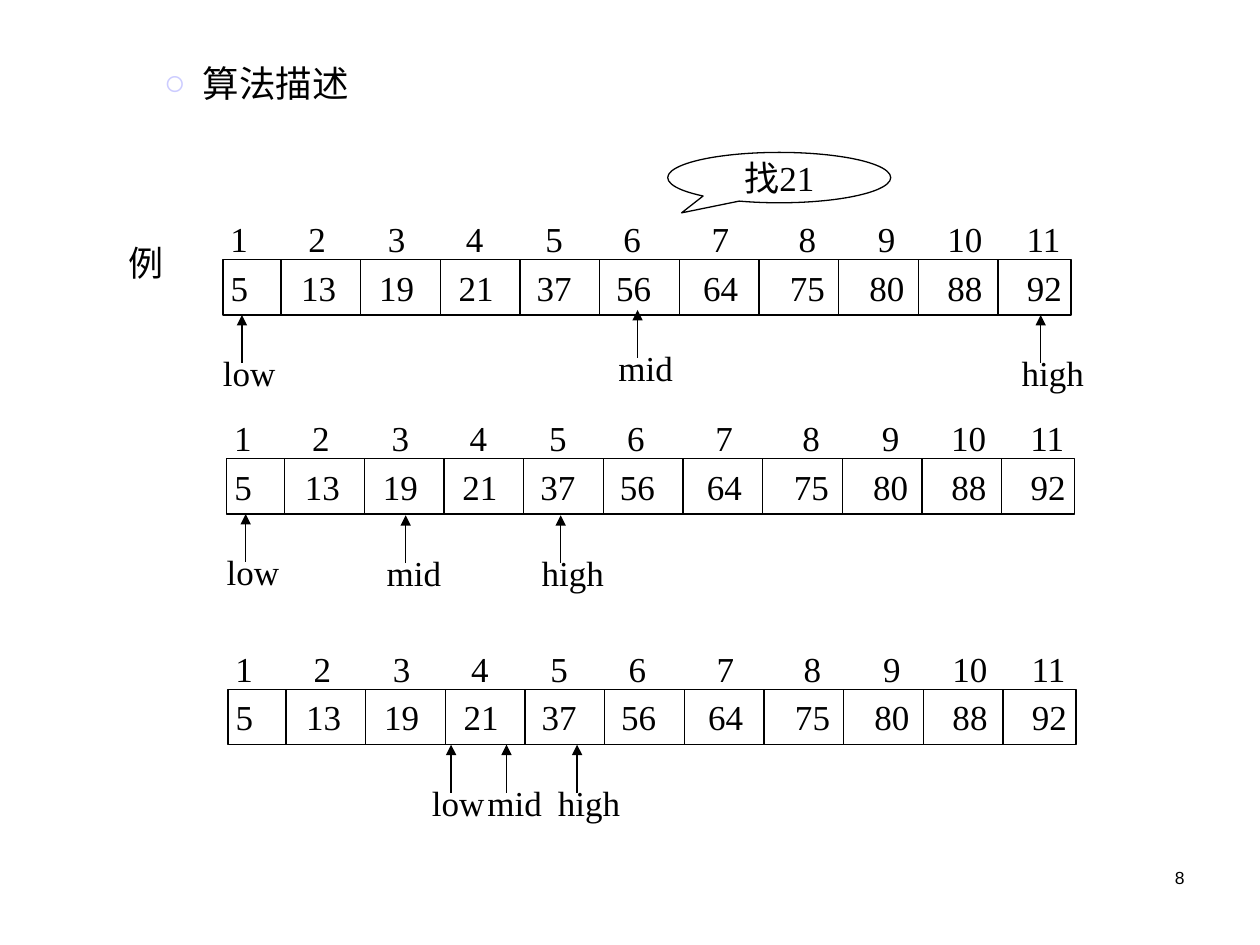
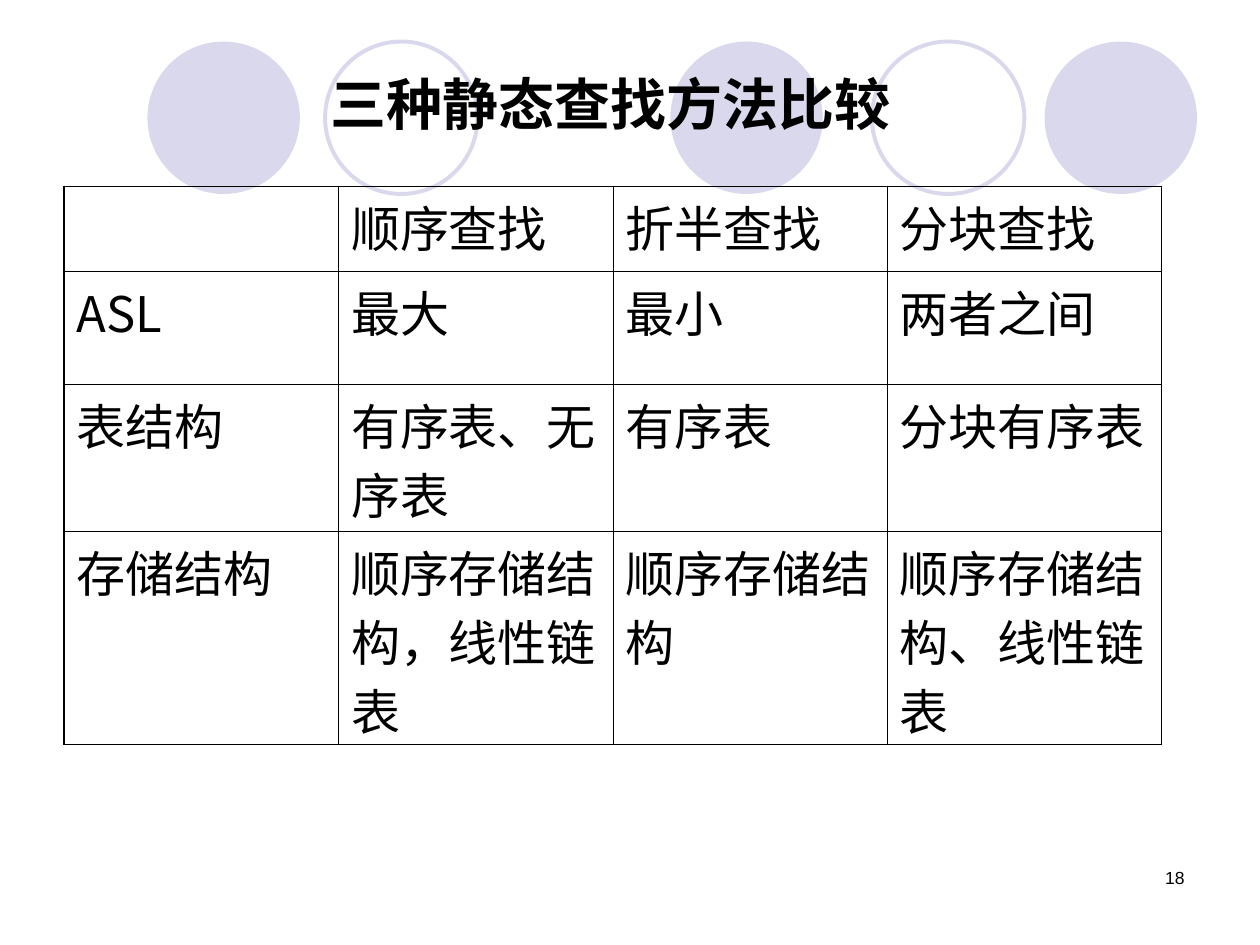
from lxml import etree
from pptx import Presentation
from pptx import util as u
from pptx.dml.color import RGBColor
from pptx.enum import shapes, text
from pptx.oxml import ns

BLACK, LILAC, BULLET = "000000", "D9D8EC", "CCCCFF"
SERIF, SANS, CJK = "Times New Roman", "Arial", "Noto Sans CJK SC"
THIN = 0.75
ROW_WIDTH, ROW_HEIGHT = 6.73, 0.44
FIRST_DIVIDER, LAST_DIVIDER, DIVIDERS = 0.46, 6.15, 10
INDEXES = list(range(1, 12))
INDEX_TABS = [0.62, 1.25, 1.87, 2.5, 3.12, 3.82, 4.51, 5.14, 5.69, 6.32]
KEYS = [5, 13, 19, 21, 37, 56, 64, 75, 80, 88, 92]
KEY_TABS = [0.56, 1.18, 1.81, 2.43, 3.06, 3.75, 4.44, 5.07, 5.69, 6.32]
LABEL_WIDTHS = {"low": 0.61, "mid": 0.63, "high": 0.69}

TRACES = [
    (1.77, 2.06, [("low", 0.15, 0), ("high", 6.49, 0), ("mid", 3.29, -0.04)]),
    (1.8, 3.64, [("low", 0.15, 0), ("high", 2.65, 0.01), ("mid", 1.42, 0.01)]),
    (1.81, 5.47, [("low", 1.77, 0), ("high", 2.77, 0), ("mid", 2.21, 0)]),
]
CIRCLES = [(5.32, True), (8.29, True), (1.17, True), (6.92, False), (2.58, False)]
COMPARISON = [
    ["", "顺序查找", "折半查找", "分块查找"],
    ["ASL", "最大", "最小", "两者之间"],
    ["表结构", "有序表、无序表", "有序表", "分块有序表"],
    ["存储结构", "顺序存储结构，线性链表", "顺序存储结构", "顺序存储结构、线性链表"],
]
COMPARISON_HEIGHTS = [0.67, 0.9, 1.17, 1.69]


def colour(value):
    return RGBColor.from_string(value)


def box(*lengths):
    return [u.Inches(length) for length in lengths]


def sub(parent, tag, **attributes):
    return etree.SubElement(parent, ns.qn(tag), attributes)


def place(shape, *lengths):
    shape.left, shape.top, shape.width, shape.height = box(*lengths)


def write(paragraph, words, size, font=SERIF, bold=False):
    run = paragraph.add_run()
    run.text = words
    run.font.size = u.Pt(size)
    run.font.name = font
    run.font.bold = bold
    run.font.color.rgb = colour(BLACK)
    sub(run._r.get_or_add_rPr(), "a:ea", typeface=CJK)


def set_tabs(paragraph, stops):
    tabs = sub(paragraph._p.get_or_add_pPr(), "a:tabLst")
    for stop in stops:
        sub(tabs, "a:tab", pos=str(u.Inches(stop)), algn="l")


def keep_on_one_line(frame):
    frame.word_wrap = False
    frame.margin_right = 0


def label(slide, place_box, words):
    frame = slide.shapes.add_textbox(*box(*place_box)).text_frame
    keep_on_one_line(frame)
    paragraph = frame.paragraphs[0]
    paragraph.alignment = text.PP_ALIGN.LEFT
    write(paragraph, words, 20)


def wrapped_text(slide, place_box):
    frame = slide.shapes.add_textbox(*box(*place_box)).text_frame
    frame.word_wrap = True
    return frame.paragraphs[0]


def outline(slide, kind, place_box, line=BLACK, width=THIN, fill=None):
    shape = slide.shapes.add_shape(kind, *box(*place_box))
    shape.shadow.inherit = False
    if fill:
        shape.fill.solid()
        shape.fill.fore_color.rgb = colour(fill)
    else:
        shape.fill.background()
    if line:
        shape.line.color.rgb = colour(line)
        shape.line.width = u.Pt(width)
    else:
        shape.line.fill.background()
    return shape


def rule(slide, x, start, end, arrow=False):
    line = slide.shapes.add_connector(shapes.MSO_CONNECTOR.STRAIGHT, *box(x, start, x, end))
    line.line.color.rgb = colour(BLACK)
    line.line.width = u.Pt(THIN)
    if arrow:
        sub(line.line._get_or_add_ln(), "a:tailEnd", type="triangle")
    sub(line._element.spPr, "a:effectLst")


def page_number(slide, number):
    paragraph = wrapped_text(slide, (7.17, 6.83, 2.33, 0.5))
    paragraph.alignment = text.PP_ALIGN.RIGHT
    write(paragraph, str(number), 10, SANS)


def bullet_heading(slide, words):
    body = slide.placeholders[1]
    place(body, 0.7, 0.43, 9.3, 0.45)
    frame = body.text_frame
    frame.auto_size = text.MSO_AUTO_SIZE.NONE
    paragraph = frame.paragraphs[0]
    paragraph.level = 1
    paragraph.space_before = u.Pt(0)
    properties = paragraph._p.get_or_add_pPr()
    properties.set("marL", str(u.Inches(0.81)))
    properties.set("indent", str(u.Inches(-0.31)))
    sub(sub(properties, "a:buClr"), "a:srgbClr", val=BULLET)
    sub(properties, "a:buFont", typeface=SANS)
    sub(properties, "a:buChar", char="○")
    write(paragraph, words, 20.9, SANS)


def search_trace(slide, left, top, pointers):
    indexes = wrapped_text(slide, (left - 0.04, top - 0.38, 7, 0.44))
    set_tabs(indexes, INDEX_TABS)
    write(indexes, "\t".join(map(str, INDEXES)), 20)

    row = outline(slide, shapes.MSO_SHAPE.RECTANGLE, (left, top, ROW_WIDTH, ROW_HEIGHT))
    frame = row.text_frame
    frame.margin_left, frame.margin_right = box(0.06, 0)
    keys = frame.paragraphs[0]
    keys.alignment = text.PP_ALIGN.LEFT
    set_tabs(keys, KEY_TABS)
    write(keys, "\t".join(map(str, KEYS)), 20)

    bottom = top + ROW_HEIGHT
    step = (LAST_DIVIDER - FIRST_DIVIDER) / (DIVIDERS - 1)
    for divider in range(DIVIDERS):
        rule(slide, left + FIRST_DIVIDER + divider * step, top, bottom)

    for name, offset, shift in pointers:
        x, tip = left + offset, bottom + shift
        rule(slide, x, tip + 0.38, tip, arrow=True)
        label(slide, (x - 0.25, tip + 0.24, LABEL_WIDTHS[name], 0.44), name)


def target_callout(slide, place_box, words):
    callout = outline(slide, shapes.MSO_SHAPE.OVAL_CALLOUT, place_box)
    callout.adjustments[0] = -0.438
    callout.adjustments[1] = 0.7
    callout.text_frame.word_wrap = False
    paragraph = callout.text_frame.paragraphs[0]
    paragraph.alignment = text.PP_ALIGN.CENTER
    write(paragraph, words, 20)


def circle_band(slide, top, size):
    for left, filled in CIRCLES:
        outline(slide, shapes.MSO_SHAPE.OVAL, (left, top, size, size),
                None if filled else LILAC, 2.25, LILAC if filled else None)


def set_borders(cell, widths):
    properties = cell._tc.get_or_add_tcPr()
    for position, (side, width) in enumerate(widths.items()):
        line = sub(properties, "a:ln" + side, w=str(u.Pt(width)))
        sub(sub(line, "a:solidFill"), "a:srgbClr", val=BLACK)
        properties.insert(position, line)


def comparison_table(slide, left, top, width):
    rows, columns = len(COMPARISON), len(COMPARISON[0])
    table = slide.shapes.add_table(
        rows, columns, *box(left, top, width, sum(COMPARISON_HEIGHTS))).table
    table.first_row = table.horz_banding = False
    for r, (height, entries) in enumerate(zip(COMPARISON_HEIGHTS, COMPARISON)):
        table.rows[r].height = u.Inches(height)
        for c, entry in enumerate(entries):
            cell = table.cell(r, c)
            cell.fill.background()
            cell.margin_top, cell.margin_bottom = box(0.05, 0)
            edges = {"L": c == 0, "R": c == columns - 1, "T": r == 0, "B": r == rows - 1}
            set_borders(cell, {side: 1.08 if outer else 0.45 for side, outer in edges.items()})
            if entry:
                paragraph = cell.text_frame.paragraphs[0]
                paragraph.line_spacing = 0.97
                write(paragraph, entry, 28, CJK)


def heading(slide, words):
    title = slide.shapes.title
    place(title, 2.52, 0.5, 4.75, 0.64)
    slide.shapes._spTree.append(title._element)
    frame = title.text_frame
    frame.auto_size = text.MSO_AUTO_SIZE.NONE
    keep_on_one_line(frame)
    frame.vertical_anchor = text.MSO_ANCHOR.MIDDLE
    frame.paragraphs[0].alignment = text.PP_ALIGN.LEFT
    write(frame.paragraphs[0], words, 32, bold=True)


def binary_search_slide(deck):
    slide = deck.slides.add_slide(deck.slide_layouts[1])
    unused_title = slide.shapes.title._element
    unused_title.getparent().remove(unused_title)
    bullet_heading(slide, "算法描述")
    label(slide, (0.92, 1.87, 0.54, 0.44), "例")
    for left, top, pointers in TRACES:
        search_trace(slide, left, top, pointers)
    target_callout(slide, (5.3, 1.21, 1.77, 0.4), "找21")
    page_number(slide, 8)


def comparison_slide(deck):
    slide = deck.slides.add_slide(deck.slide_layouts[5])
    circle_band(slide, 0.33, 1.21)
    comparison_table(slide, 0.51, 1.48, 8.71)
    heading(slide, "三种静态查找方法比较")
    page_number(slide, 18)


def main():
    deck = Presentation()
    deck.slide_width, deck.slide_height = box(10, 7.5)
    binary_search_slide(deck)
    comparison_slide(deck)
    deck.save("out.pptx")


if __name__ == "__main__":
    main()
